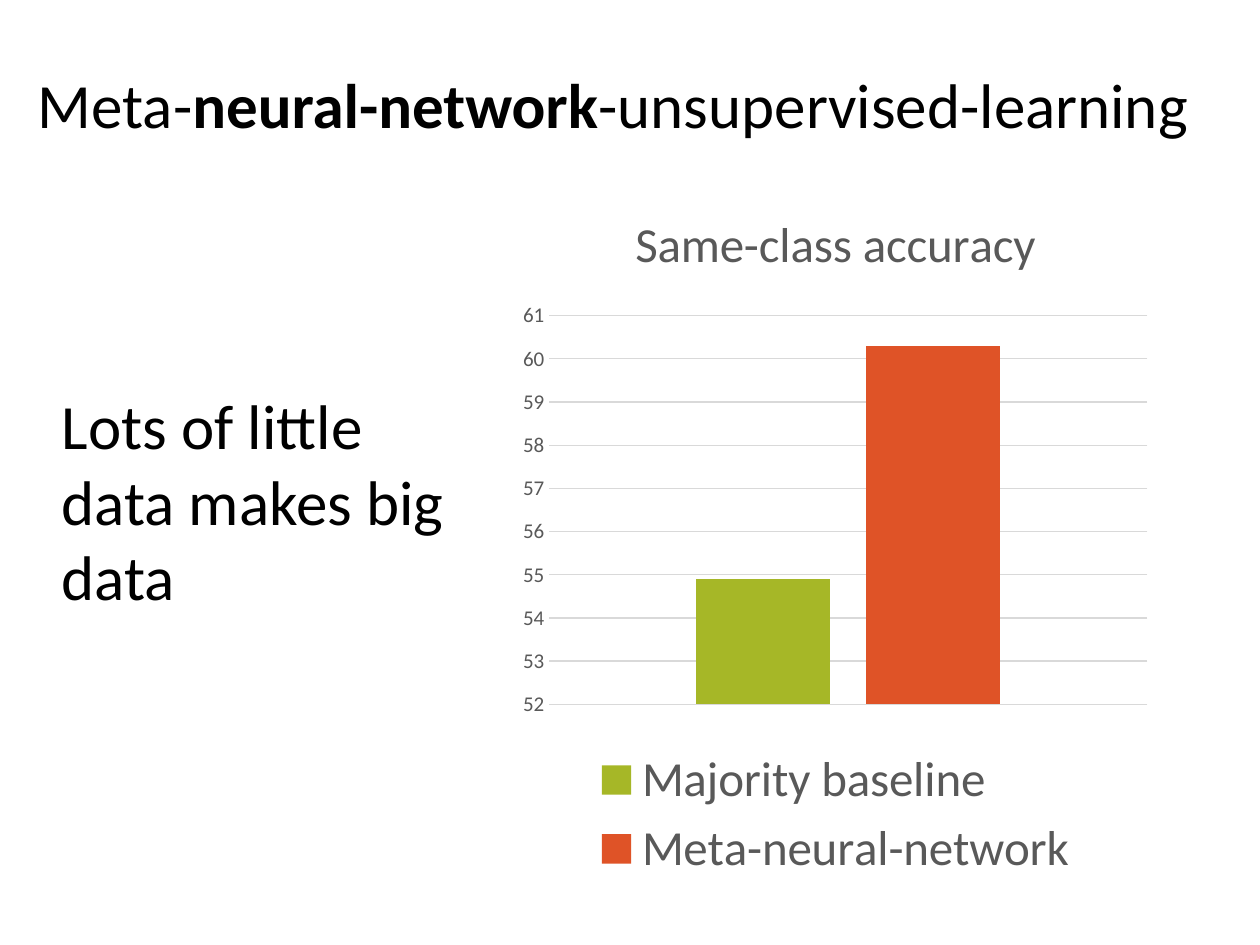
from pptx import Presentation
from pptx.chart.data import CategoryChartData
from pptx.dml.color import RGBColor
from pptx.enum import chart as ch, text as tx
from pptx.oxml import parse_xml
from pptx.oxml.ns import nsdecls
from pptx.util import Inches, Pt

# Content
HEADING = [("Meta-", False), ("neural-network", True), ("-unsupervised-learning", False)]
MESSAGE = "Lots of little data makes big data"
CHART_TITLE = "Same-class accuracy"
BLACK = RGBColor(0x00, 0x00, 0x00)
GRAY = RGBColor(0x59, 0x59, 0x59)
GRID = RGBColor(0xD9, 0xD9, 0xD9)
GREEN = RGBColor(0xA6, 0xB7, 0x27)
ORANGE = RGBColor(0xDF, 0x53, 0x27)
ACCURACY = [("Majority baseline", 54.9, GREEN), ("Meta-neural-network", 60.3, ORANGE)]
HEADING_BOX = (0.2, 0.24, 9.8, 1.24)
MESSAGE_BOX = (0.39, 3.02, 3.29, 1.92)
CHART_BOX = (4.05, 1.44, 5.16, 5.61)
PLOT_PART = {"x": 0.06, "y": 0.19, "w": 0.92, "h": 0.55}


def inches(box):
    return [Inches(length) for length in box]


def set_font(font, size, color, bold=False):
    for key, value in {"name": "Calibri", "size": Pt(size), "bold": bold}.items():
        setattr(font, key, value)
    font.color.rgb = color


prs = Presentation()
prs.slide_width, prs.slide_height = Inches(10), Inches(7.5)
slide = prs.slides.add_slide(prs.slide_layouts[5])

# Heading
heading = slide.shapes.title
heading.left, heading.top, heading.width, heading.height = inches(HEADING_BOX)
heading.text_frame.vertical_anchor = tx.MSO_ANCHOR.MIDDLE
heading_line = heading.text_frame.paragraphs[0]
heading_line.alignment = tx.PP_ALIGN.LEFT
heading_line.line_spacing = 0.9
for words, bold in HEADING:
    run = heading_line.add_run()
    run.text = words
    set_font(run.font, 36, BLACK, bold)

# Message on the left
message = slide.shapes.add_textbox(*inches(MESSAGE_BOX)).text_frame
message.word_wrap = True
message.auto_size = tx.MSO_AUTO_SIZE.SHAPE_TO_FIT_TEXT
message.text = MESSAGE
set_font(message.paragraphs[0].runs[0].font, 36, BLACK)

# Accuracy chart
data = CategoryChartData()
data.categories = ["1"]
for name, value, _ in ACCURACY:
    data.add_series(name, [value])
accuracy = slide.shapes.add_chart(
    ch.XL_CHART_TYPE.COLUMN_CLUSTERED, *inches(CHART_BOX), data).chart
set_font(accuracy.font, 10, BLACK)
accuracy.has_title = True
accuracy.chart_title.text_frame.text = CHART_TITLE
set_font(accuracy.chart_title.text_frame.paragraphs[0].runs[0].font, 28, GRAY)
accuracy.chart_title.include_in_layout = False

bars = accuracy.plots[0]
for key, value in {"gap_width": 219, "overlap": -27, "vary_by_categories": False}.items():
    setattr(bars, key, value)
for series, (_, _, color) in zip(bars.series, ACCURACY):
    series.format.fill.solid()
    series.format.fill.fore_color.rgb = color

# Axes and legend
accuracy.category_axis.visible = False
scale = accuracy.value_axis
for key, value in {"minimum_scale": 52, "maximum_scale": 61, "major_unit": 1,
                   "major_tick_mark": ch.XL_TICK_MARK.NONE,
                   "minor_tick_mark": ch.XL_TICK_MARK.NONE,
                   "has_major_gridlines": True}.items():
    setattr(scale, key, value)
set_font(scale.tick_labels.font, 12, GRAY)
scale.tick_labels.number_format = "General"
scale.tick_labels.number_format_is_linked = False
scale.format.line.fill.background()
scale.major_gridlines.format.line.color.rgb = GRID
scale.major_gridlines.format.line.width = Pt(0.75)

accuracy.has_legend = True
accuracy.legend.position = ch.XL_LEGEND_POSITION.BOTTOM
accuracy.legend.include_in_layout = False
set_font(accuracy.legend.font, 28, GRAY)

# Fixed place of the plot inside the chart
places = "".join(f'<c:{key} val="{part}"/>' for key, part in PLOT_PART.items())
plot_area = accuracy.plots[0]._element.getparent()
for layout in plot_area.findall("{*}layout"):
    plot_area.remove(layout)
plot_area.insert(0, parse_xml(
    f'<c:layout {nsdecls("c")}><c:manualLayout><c:layoutTarget val="inner"/>'
    f'<c:xMode val="edge"/><c:yMode val="edge"/>{places}</c:manualLayout></c:layout>'))

prs.save("out.pptx")
